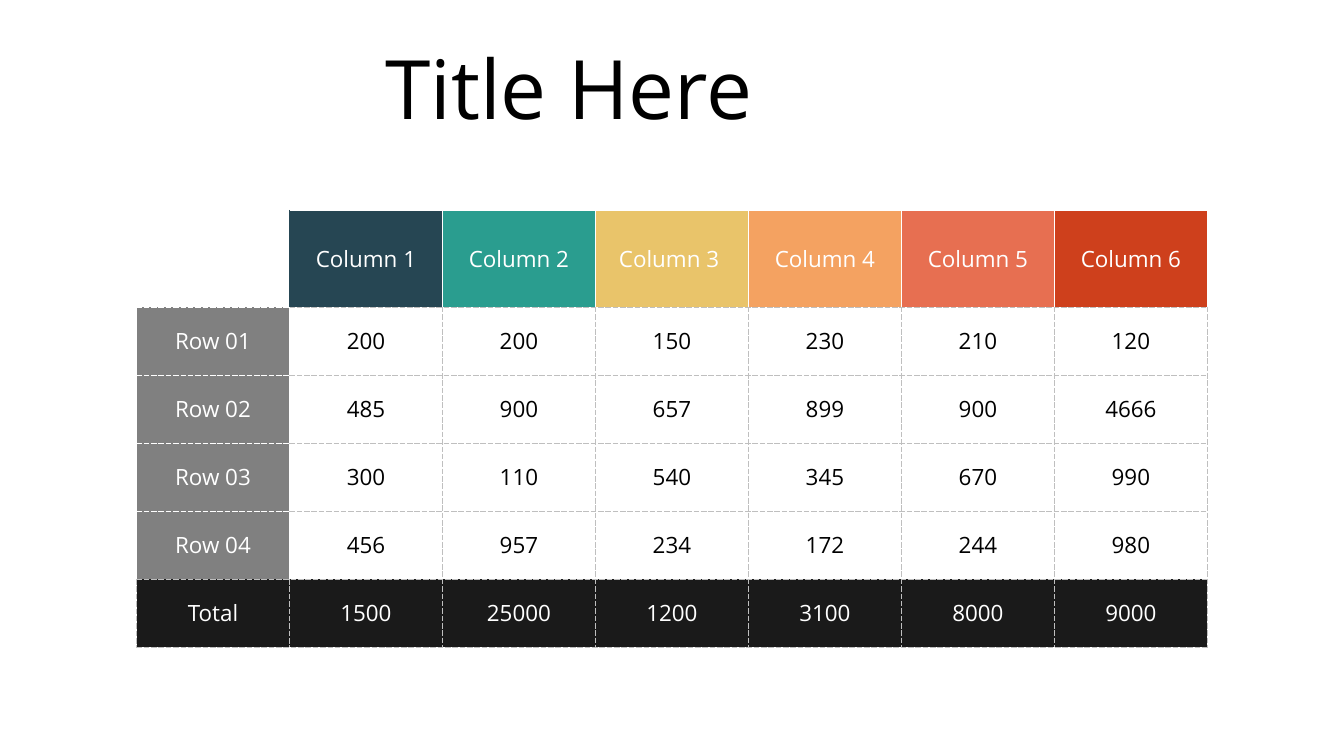
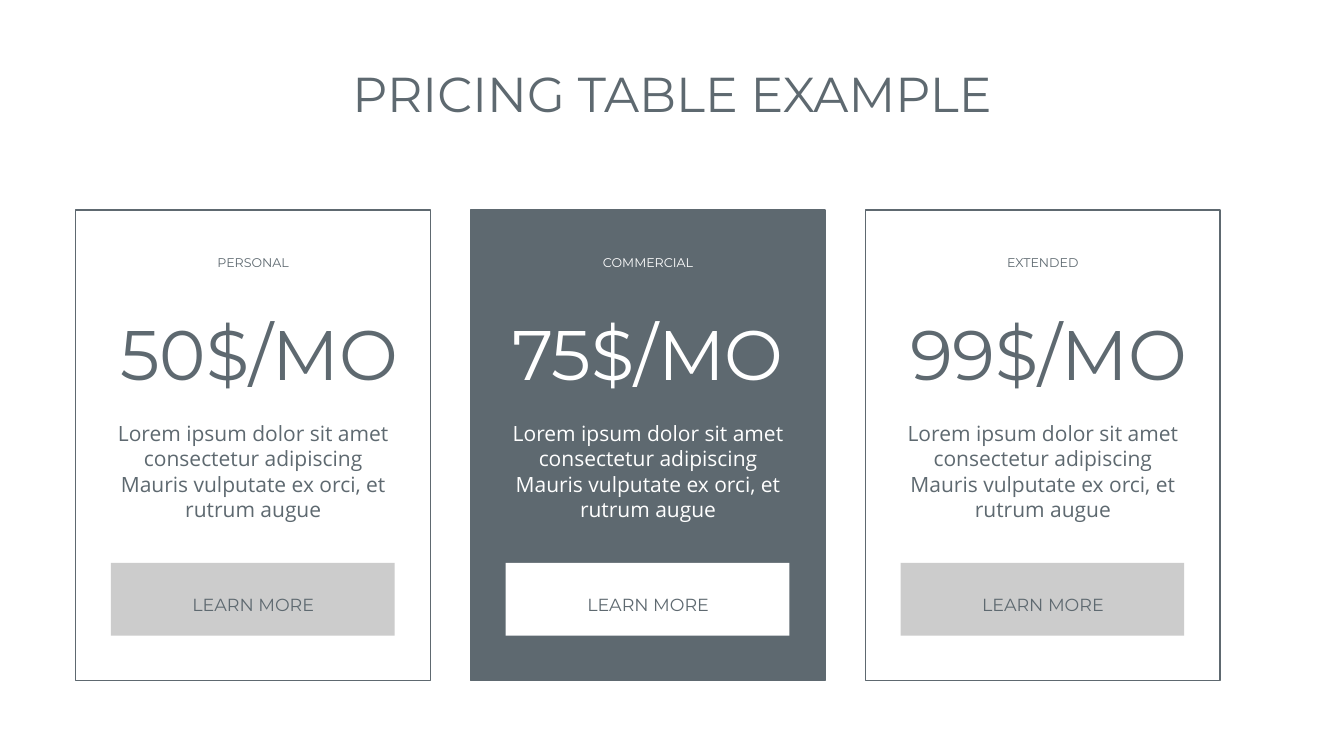
from lxml import etree
from pptx import Presentation
from pptx.dml.color import RGBColor
from pptx.enum.shapes import MSO_SHAPE
from pptx.enum.text import MSO_ANCHOR, MSO_AUTO_SIZE, PP_ALIGN
from pptx.oxml.ns import qn
from pptx.util import Cm, Pt

RECTANGLE = MSO_SHAPE.RECTANGLE
CENTER = PP_ALIGN.CENTER
MIDDLE = MSO_ANCHOR.MIDDLE
TOP = MSO_ANCHOR.TOP
GROW = MSO_AUTO_SIZE.SHAPE_TO_FIT_TEXT
FIXED = MSO_AUTO_SIZE.NONE

COLORS = {
    "white": "FFFFFF",
    "black": "000000",
    "total": "1A1A1A",
    "row_head": "808080",
    "grid": "BFBFBF",
    "slate": "5E6970",
    "button": "CCCCCC",
    "column_1": "264653",
    "column_2": "2A9D8F",
    "column_3": "E9C46A",
    "column_4": "F4A261",
    "column_5": "E76F51",
    "column_6": "CE401C",
}

# Font, size and line spacing of each kind of text
STYLES = {
    "table_title": ("Open Sans", 117, 0.9),
    "cell": ("Open Sans", 32, None),
    "pricing_title": ("Montserrat", 70, 0.8),
    "plan": ("Montserrat", 18, None),
    "price": ("Montserrat", 100, 0.8),
    "offer": ("Open Sans", 30, Pt(36)),
    "button": ("Montserrat", 25, 2.0),
}

TABLE_ROWS = [
    ["", "Column 1", "Column 2", "Column 3 ", "Column 4", "Column 5", "Column 6"],
    ["Row 01", "200", "200", "150", "230", "210", "120"],
    ["Row 02", "485", "900", "657", "899", "900", "4666"],
    ["Row 03", "300", "110", "540", "345", "670", "990"],
    ["Row 04", "456", "957", "234", "172", "244", "980"],
    ["Total", "1500", "25000", "1200", "3100", "8000", "9000"],
]

OFFER = [
    "Lorem ipsum dolor sit amet consectetur adipiscing",
    "Mauris vulputate ex orci, et rutrum augue",
]

# Plan, price, left of the price in its card, highlighted
PLANS = [
    ("PERSONAL", "50$/MO", 1.4, False),
    ("COMMERCIAL", "75$/MO", 1.09, True),
    ("EXTENDED", "99$/MO", 1.4, False),
]


def rgb(color):
    return RGBColor.from_string(COLORS[color])


def set_all(target, settings):
    for name, value in settings.items():
        setattr(target, name, value)


def write(frame, lines, style, color):
    font_name, size, spacing = STYLES[style]
    for index, line in enumerate(lines):
        paragraph = frame.add_paragraph() if index else frame.paragraphs[0]
        set_all(paragraph, {"alignment": CENTER, "line_spacing": spacing})
        run = paragraph.add_run()
        run.text = line
        set_all(run.font, {"name": font_name, "size": Pt(size)})
        run.font.color.rgb = rgb(color)


def add_text(shapes, box, lines, style, color, **frame_settings):
    frame = shapes.add_textbox(*map(Cm, box)).text_frame
    write(frame, lines, style, color)
    set_all(frame, {"word_wrap": True, "vertical_anchor": TOP,
                    "auto_size": GROW, **frame_settings})


def add_rectangle(shapes, box, fill=None, line=None):
    rectangle = shapes.add_shape(RECTANGLE, *map(Cm, box))
    rectangle.shadow.inherit = False
    if fill:
        rectangle.fill.solid()
        rectangle.fill.fore_color.rgb = rgb(fill)
    else:
        rectangle.fill.background()
    if line:
        rectangle.line.color.rgb = rgb(line)
        rectangle.line.width = Pt(2)
    else:
        rectangle.line.fill.background()


def add_border(cell, side, color, width, dash):
    properties = cell._tc.get_or_add_tcPr()
    line = etree.SubElement(properties, qn(f"a:ln{side}"), w=str(Pt(width)))
    fill = etree.SubElement(line, qn("a:solidFill"))
    etree.SubElement(fill, qn("a:srgbClr"), val=COLORS[color])
    etree.SubElement(line, qn("a:prstDash"), val=dash)


def cell_look(row, column):
    """Return the fill, text colour and borders of a table cell."""
    grid, white_dash = ("grid", 0.25, "sysDash"), ("white", 0.25, "sysDash")
    solid = ("white", 1, "solid")
    accent = ("column_1", 0.25, "sysDash")
    borders = dict.fromkeys("LRTB", grid)
    last = len(TABLE_ROWS) - 1
    if row == 0:
        borders.update(L=solid, R=solid, T=solid)
        if column == 0:
            borders.update(R=accent, B=white_dash)
            return "white", "white", borders
        if column == 1:
            borders["L"] = accent
        return f"column_{column}", "white", borders
    if row == last:
        return "total", "white", borders
    if column == 0:
        borders.update(dict.fromkeys("LRT", white_dash))
        if row < last - 1:
            borders["B"] = white_dash
        return "row_head", "white", borders
    if column == 1:
        borders["L"] = white_dash
    return "white", "black", borders


def add_data_table(slide, box):
    head_height, row_height = 4.88, 3.43
    column_count = len(TABLE_ROWS[0])
    table = slide.shapes.add_table(len(TABLE_ROWS), column_count, *map(Cm, box)).table
    set_all(table, {"first_row": False, "horz_banding": False})
    for column in table.columns:
        column.width = Cm(box[2] / column_count)
    for row, values in enumerate(TABLE_ROWS):
        table.rows[row].height = Cm(row_height if row else head_height)
        for column, value in enumerate(values):
            cell = table.cell(row, column)
            fill, color, borders = cell_look(row, column)
            set_all(cell, {"vertical_anchor": MIDDLE,
                           "margin_left": Cm(0.51), "margin_right": Cm(0.51),
                           "margin_top": Cm(0.23), "margin_bottom": Cm(0.23)})
            if value:
                write(cell.text_frame, [value], "cell", color)
            for side, border in borders.items():
                add_border(cell, side, *border)
            cell.fill.solid()
            cell.fill.fore_color.rgb = rgb(fill)


def add_plan_card(slide, box, plan, price, price_left, highlighted):
    left, top = box[:2]
    ink = "white" if highlighted else "slate"

    def inside(x, y, width, height):
        return left + x, top + y, width, height

    # Frame
    add_rectangle(slide.shapes, box, "slate" if highlighted else None, "slate")
    # Plan, price and offer
    add_text(slide.shapes, inside(2.08, 2.13, 13.74, 1.02), [plan], "plan", ink)
    add_text(slide.shapes, inside(1.45, 10.49, 15.01, 6.68), OFFER, "offer", ink)
    add_text(slide.shapes, inside(price_left, 5.74, 15.7, 3.73), [price], "price", ink)
    # Button
    button = slide.shapes.add_group_shape().shapes
    add_rectangle(button, inside(1.78, 17.78, 14.3, 3.66),
                  "white" if highlighted else "button")
    add_text(button, inside(3.05, 18.16, 11.81, 2.08), ["LEARN MORE"], "button", "slate")


def build_table_slide(slide):
    add_data_table(slide, (6.88, 10.59, 53.98, 22.03))
    add_text(slide.shapes, (0, 2.03, 58.42, 7.37), ["Title Here "], "table_title",
             "black", auto_size=FIXED, margin_top=Cm(0.41))


def build_pricing_slide(slide):
    add_text(slide.shapes, (13.34, 3.66, 41.07, 2.69), ["PRICING TABLE EXAMPLE"],
             "pricing_title", "slate")
    card_width, card_gap = 17.88, 2.02
    for index, plan in enumerate(PLANS):
        left = 3.81 + index * (card_width + card_gap)
        add_plan_card(slide, (left, 10.59, card_width, 23.7), *plan)


def main():
    deck = Presentation()
    set_all(deck, {"slide_width": Cm(67.74), "slide_height": Cm(38.1)})
    blank = deck.slide_layouts[6]
    for build in (build_table_slide, build_pricing_slide):
        build(deck.slides.add_slide(blank))
    deck.save("out.pptx")


if __name__ == "__main__":
    main()
